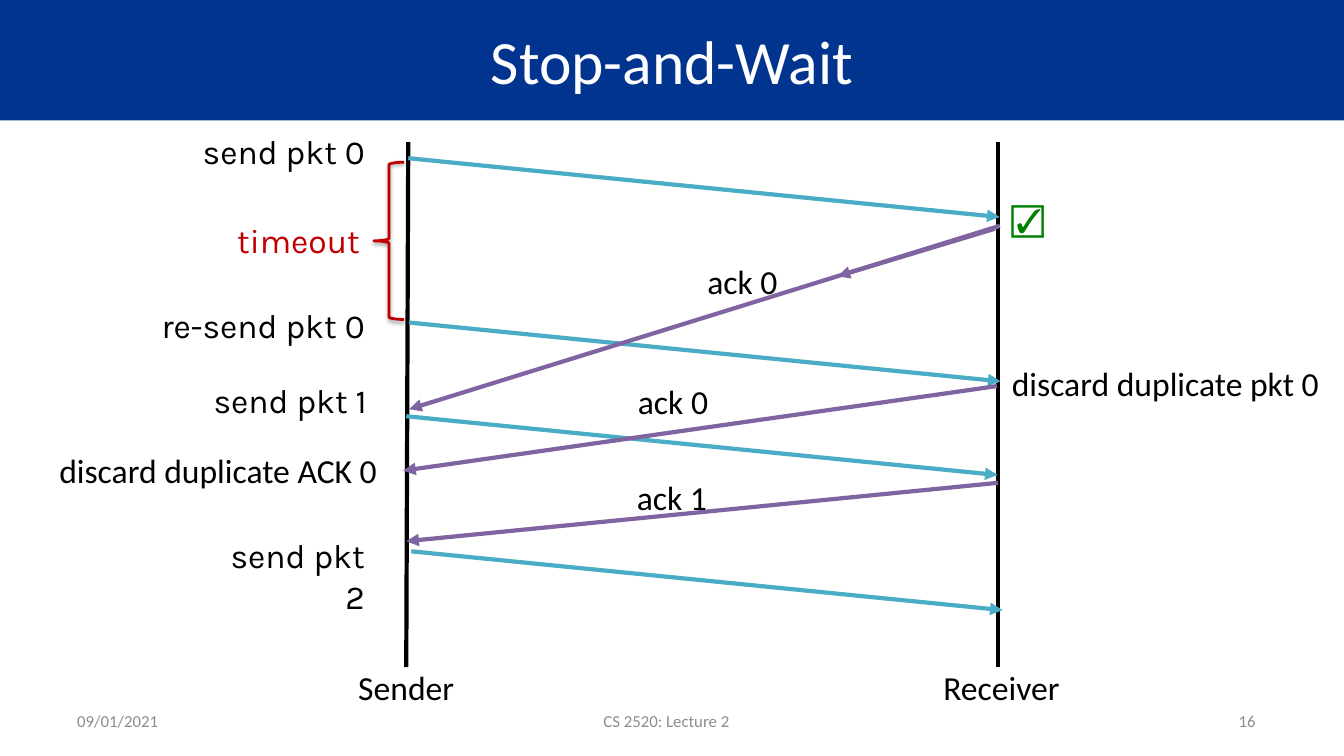
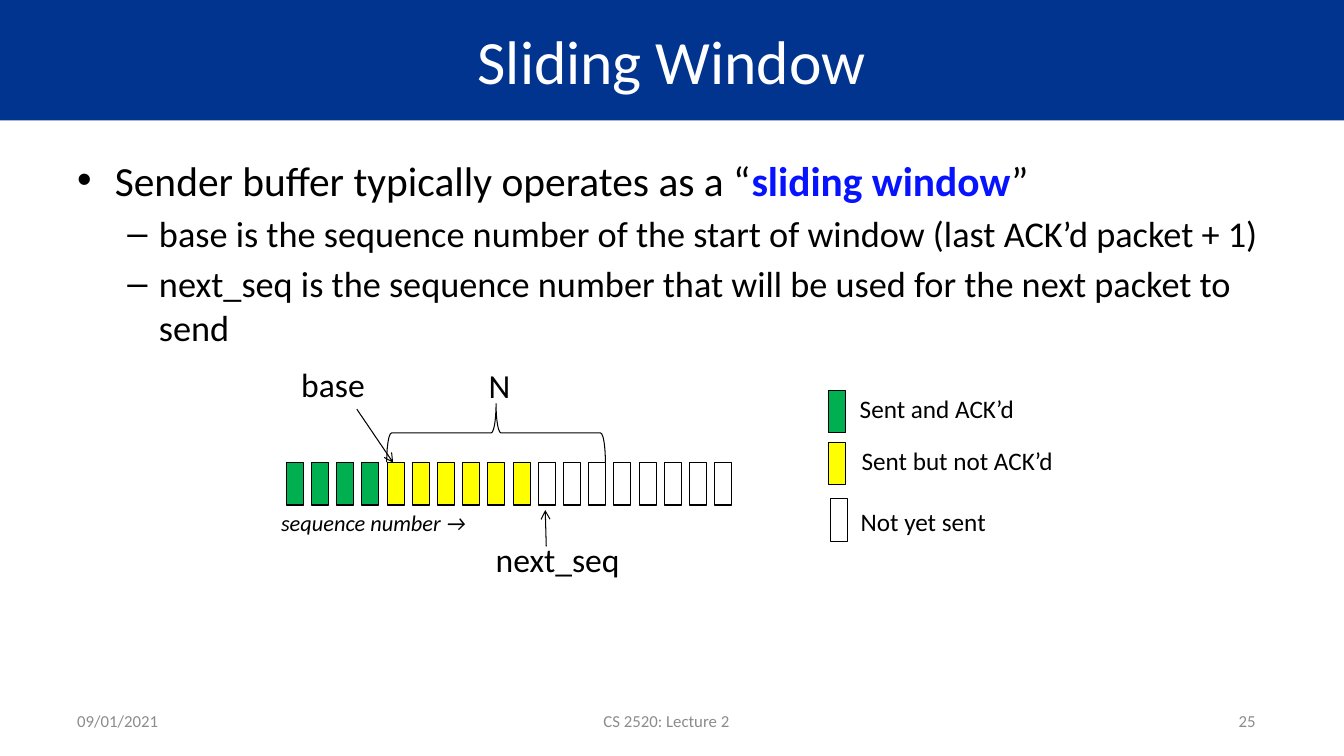
from dataclasses import dataclass

from lxml import etree
from pptx import Presentation
from pptx.dml.color import RGBColor
from pptx.enum.shapes import MSO_CONNECTOR, MSO_SHAPE
from pptx.enum.text import MSO_ANCHOR, PP_ALIGN
from pptx.oxml.ns import qn
from pptx.presentation import Presentation as Deck
from pptx.shapes.autoshape import Shape
from pptx.slide import Slide
from pptx.util import Pt

LEFT, CENTER, RIGHT = PP_ALIGN.LEFT, PP_ALIGN.CENTER, PP_ALIGN.RIGHT
TOP, MIDDLE = MSO_ANCHOR.TOP, MSO_ANCHOR.MIDDLE
RECTANGLE, LEFT_BRACE = MSO_SHAPE.RECTANGLE, MSO_SHAPE.LEFT_BRACE
STRAIGHT = MSO_CONNECTOR.STRAIGHT

SLIDE_WIDTH, SLIDE_HEIGHT = 960, 540
TITLE_HEIGHT = 86
TITLE_ONLY_LAYOUT = 5
FONT, LABEL_FONT = "Calibri", "Karla"
BLACK, WHITE, NAVY, GRAY = "000000", "FFFFFF", "00348F", "8C8C8C"
BLUE, RED, CHECK_GREEN = "0713FF", "C00000", "008000"
PACKET, ACK = "4BACC6", "8064A2"
GREEN, YELLOW = "00B050", "FFFF00"
THIN, THICK = 0.75, 3
CELL_WIDTH, CELL_HEIGHT = 12.24, 30.24
CELL_LEFT, CELL_TOP, CELL_STEP = 204.5, 330.5, 18


@dataclass
class Label:
    text: str
    left: float
    top: float
    width: float
    height: float = 36
    size: float = 24
    color: str = BLACK
    font: str = FONT
    align: PP_ALIGN = LEFT
    anchor: MSO_ANCHOR = TOP
    wrap: bool = False
    italic: bool = False
    side_inset: float = 7.2


@dataclass
class Line:
    start: tuple[float, float]
    end: tuple[float, float]
    color: str = BLACK
    width: float = THICK
    head: str = ""


@dataclass
class Bullet:
    runs: list[tuple[str, bool]]
    level: int
    symbol: str
    size: float
    margin: float
    hanging: float


@dataclass
class LegendRow:
    text: str
    color: str
    left: float
    top: float
    text_left: float
    text_top: float
    text_width: float


def rgb(value: str) -> RGBColor:
    return RGBColor.from_string(value)


def add_label(slide: Slide, label: Label) -> None:
    box = slide.shapes.add_textbox(
        Pt(label.left), Pt(label.top), Pt(label.width), Pt(label.height)
    )
    frame = box.text_frame
    frame.word_wrap = label.wrap
    frame.vertical_anchor = label.anchor
    frame.margin_left = frame.margin_right = Pt(label.side_inset)
    paragraph = frame.paragraphs[0]
    paragraph.text = label.text
    paragraph.alignment = label.align
    font = paragraph.font
    font.name, font.size, font.italic = label.font, Pt(label.size), label.italic
    font.color.rgb = rgb(label.color)


def add_line(slide: Slide, line: Line) -> None:
    connector = slide.shapes.add_connector(
        STRAIGHT, *(Pt(value) for value in line.start + line.end)
    )
    connector.line.color.rgb = rgb(line.color)
    connector.line.width = Pt(line.width)
    properties = connector.element.spPr
    if line.head:
        outline = properties.find(qn("a:ln"))
        etree.SubElement(outline, qn("a:tailEnd"), type=line.head)
    etree.SubElement(properties, qn("a:effectLst"))


def add_outline(
    slide: Slide, kind: MSO_SHAPE, left: float, top: float, width: float,
    height: float, color: str = BLACK, line_width: float = THIN, fill: str = "",
) -> Shape:
    shape = slide.shapes.add_shape(kind, Pt(left), Pt(top), Pt(width), Pt(height))
    shape.shadow.inherit = False
    shape.line.color.rgb = rgb(color)
    shape.line.width = Pt(line_width)
    if fill:
        shape.fill.solid()
        shape.fill.fore_color.rgb = rgb(fill)
    else:
        shape.fill.background()
    return shape


def add_cell(slide: Slide, left: float, top: float, color: str) -> None:
    add_outline(slide, RECTANGLE, left, top, CELL_WIDTH, CELL_HEIGHT, fill=color)


def add_soft_shadow(shape: Shape) -> None:
    effects = shape.element.spPr.find(qn("a:effectLst"))
    shadow = etree.SubElement(
        effects, qn("a:outerShdw"), blurRad=str(Pt(3.1)), dist=str(Pt(1.6)),
        dir="5400000", rotWithShape="0",
    )
    color = etree.SubElement(shadow, qn("a:srgbClr"), val=BLACK)
    etree.SubElement(color, qn("a:alpha"), val="38000")


def add_bullets(slide: Slide, bullets: list[Bullet]) -> None:
    box = slide.shapes.add_textbox(Pt(48), Pt(107), Pt(864), Pt(124))
    frame = box.text_frame
    frame.word_wrap = True
    for index, bullet in enumerate(bullets):
        paragraph = frame.add_paragraph() if index else frame.paragraphs[0]
        paragraph.level = bullet.level
        properties = paragraph._p.get_or_add_pPr()
        properties.set("marL", str(Pt(bullet.margin)))
        properties.set("indent", str(Pt(-bullet.hanging)))
        etree.SubElement(properties, qn("a:buFont"), typeface="Arial")
        etree.SubElement(properties, qn("a:buChar"), char=bullet.symbol)
        if index:
            paragraph.space_before = Pt(4.8)
        paragraph.font.name, paragraph.font.size = FONT, Pt(bullet.size)
        paragraph.font.color.rgb = rgb(BLACK)
        for text, emphasized in bullet.runs:
            run = paragraph.add_run()
            run.text = text
            if emphasized:
                run.font.bold = True
                run.font.color.rgb = rgb(BLUE)


def add_titled_slide(presentation: Deck, title: str, number: str) -> Slide:
    slide = presentation.slides.add_slide(
        presentation.slide_layouts[TITLE_ONLY_LAYOUT]
    )
    band = slide.shapes.title
    band.left, band.top = Pt(0), Pt(0)
    band.width, band.height = Pt(SLIDE_WIDTH), Pt(TITLE_HEIGHT)
    band.fill.solid()
    band.fill.fore_color.rgb = rgb(NAVY)
    band.text_frame.text = title
    band.text_frame.vertical_anchor = MIDDLE
    paragraph = band.text_frame.paragraphs[0]
    paragraph.alignment = CENTER
    paragraph.font.name, paragraph.font.size = FONT, Pt(44)
    paragraph.font.color.rgb = rgb(WHITE)
    for text, left, width, align in (
        ("09/01/2021", 48, 118, LEFT),
        ("CS 2520: Lecture 2", 147.6, 657, CENTER),
        (number, 804, 100, RIGHT),
    ):
        add_label(slide, Label(text, left, 500.4, width, 28.8, 12, GRAY,
                               align=align, anchor=MIDDLE, wrap=True))
    return slide


def add_stop_and_wait(presentation: Deck) -> None:
    slide = add_titled_slide(presentation, "Stop-and-Wait", "16")
    add_line(slide, Line((291.6, 101.5), (290.2, 476.6)))
    add_line(slide, Line((712.8, 101.5), (712.8, 476.6)))

    for left, top in ((291.6, 113), (292.3, 230.4), (290.2, 297.3), (293.8, 393.8)):
        add_line(slide, Line((left, top), (left + 422.4, top + 42), PACKET,
                             head="triangle"))
    for start, end in (
        ((714.2, 161.3), (292.3, 292.3)),
        ((710.6, 163.4), (598.3, 197.3)),
        ((712.1, 275.8), (288, 336.2)),
        ((712.8, 344.9), (290.2, 386.6)),
    ):
        add_line(slide, Line(start, end, ACK, head="triangle"))

    for text, right, top, width, color in (
        ("send pkt 0", 267.1, 90, 129, BLACK),
        ("timeout", 263.5, 153.4, 126.7, RED),
        ("re-send pkt 0", 267.1, 214.6, 170.6, BLACK),
        ("send pkt 1", 268.6, 267.8, 170.6, BLACK),
        ("send pkt 2", 267.1, 378.7, 126.7, BLACK),
    ):
        add_label(slide, Label(text, right - width, top, width, color=color,
                               font=LABEL_FONT, align=RIGHT, wrap=True,
                               side_inset=6.48))

    for label in (
        Label("ack 0", 498.2, 182.9, 64.8),
        Label("ack 0", 448.6, 268.6, 64.8),
        Label("ack 1", 447.8, 337, 64.8),
        Label("discard duplicate pkt 0", 715.7, 255.6, 244),
        Label("discard duplicate ACK 0", 35.3, 317.5, 244),
        Label("Sender", 241.9, 473, 96.5, align=CENTER, anchor=MIDDLE),
        Label("Receiver", 657.4, 473, 116, align=CENTER, anchor=MIDDLE),
        Label("☑", 715, 138.2, 47.5, color=CHECK_GREEN, font="Arial"),
    ):
        add_label(slide, label)

    timeout_brace = add_outline(slide, LEFT_BRACE, 267.1, 115.9, 21.6, 112.3, RED, 2)
    add_soft_shadow(timeout_brace)


def add_sliding_window(presentation: Deck) -> None:
    slide = add_titled_slide(presentation, "Sliding Window", "25")
    add_bullets(slide, [
        Bullet([("Sender buffer typically operates as a “", False),
                ("sliding window", True), ("”", False)], 0, "•", 29.6, 27, 27),
        Bullet([("base is the sequence number of the start of window "
                 "(last ACK’d packet + 1)", False)], 1, "–", 25.9, 58.5, 22.5),
        Bullet([("next_seq is the sequence number that will be used for "
                 "the next packet to send", False)], 1, "–", 25.9, 58.5, 22.5),
    ])

    for index, color in enumerate([GREEN] * 4 + [YELLOW] * 6 + [WHITE] * 8):
        add_cell(slide, CELL_LEFT + index * CELL_STEP, CELL_TOP, color)

    window_brace = add_outline(slide, LEFT_BRACE, 333.4, 231.1, 41.8, 156.2)
    window_brace.rotation = 90

    for row in (
        LegendRow("Sent and ACK’d", GREEN, 591.8, 278.6, 607, 277.2, 126),
        LegendRow("Sent but not ACK’d", YELLOW, 591.8, 316.1, 608.4, 314.6, 168.5),
        LegendRow("Not yet sent", WHITE, 593.3, 356.4, 607.7, 357.8, 105),
    ):
        add_cell(slide, row.left, row.top, row.color)
        add_label(slide, Label(row.text, row.text_left, row.text_top,
                               row.text_width, 28.8, 18))

    for label in (
        Label("N", 342, 257, 30.2),
        Label("base", 208.1, 256.3, 60.5),
        Label("next_seq", 347, 381.6, 104.4),
        Label("sequence number →", 193.7, 360, 208, 26.6, 16, italic=True),
    ):
        add_label(slide, label)

    add_line(slide, Line((254.9, 292.3), (280.8, 330.5), width=THIN, head="arrow"))
    add_line(slide, Line((390.2, 390.2), (389.5, 364.3), width=THIN, head="arrow"))


def main() -> None:
    presentation = Presentation()
    presentation.slide_width = Pt(SLIDE_WIDTH)
    presentation.slide_height = Pt(SLIDE_HEIGHT)
    add_stop_and_wait(presentation)
    add_sliding_window(presentation)
    presentation.save("out.pptx")


if __name__ == "__main__":
    main()
